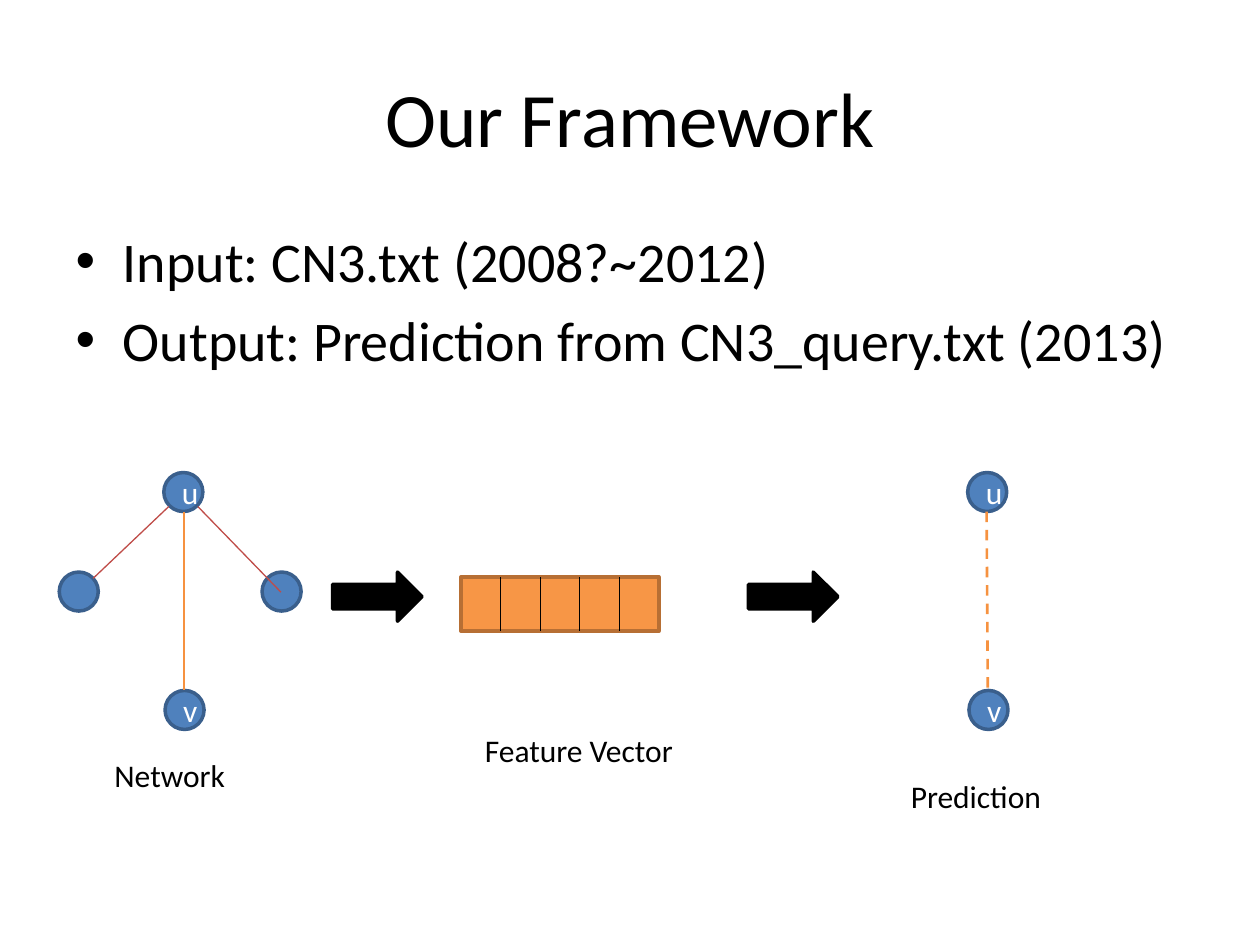
"""Builds the framework slide: network, feature vector and prediction."""
from lxml import etree
from pptx import Presentation
from pptx.dml.color import RGBColor
from pptx.enum.dml import MSO_LINE_DASH_STYLE as Dash
from pptx.enum.shapes import MSO_CONNECTOR as Connector, MSO_SHAPE as Shape
from pptx.enum.text import MSO_ANCHOR as Anchor, MSO_AUTO_SIZE as AutoSize, PP_ALIGN as Align
from pptx.oxml.ns import qn
from pptx.util import Inches, Pt

BLACK = RGBColor(0x00, 0x00, 0x00)
WHITE = RGBColor(0xFF, 0xFF, 0xFF)
BLUE = RGBColor(0x4F, 0x81, 0xBD)
DARK_BLUE = RGBColor(0x3A, 0x5F, 0x8C)
RED = RGBColor(0xBF, 0x4C, 0x48)
ORANGE = RGBColor(0xF7, 0x96, 0x46)
DARK_ORANGE = RGBColor(0xB7, 0x6F, 0x34)
EDGE_ORANGE = RGBColor(0xF6, 0x92, 0x40)
FONT = "Calibri"

TITLE = "Our Framework"
BULLETS = ["Input: CN3.txt (2008?~2012)", "Output: Prediction from CN3_query.txt (2013)"]
NODE_SIZE = 0.31
NETWORK_NODES = [("u", 1.3, 3.75), ("v", 1.31, 5.48), ("", 0.47, 4.54), ("", 2.08, 4.54)]
PREDICTION_NODES = [("u", 7.68, 3.75), ("v", 7.69, 5.48)]
NETWORK_EDGES = [
    ((1.57, 4.02), (2.23, 4.7), RED),
    ((1.46, 4.06), (1.46, 5.48), EDGE_ORANGE),
    ((0.74, 4.59), (1.34, 4.02), RED),
]
PREDICTED_EDGE = ((7.83, 4.06), (7.84, 5.48), EDGE_ORANGE)
ARROW_LEFTS = [2.64, 5.94]
VECTOR = (3.66, 4.58, 1.57, 0.43)
VECTOR_CELLS = 5
CAPTIONS = [
    ("Network", 0.81, 5.95, 1.09),
    ("Feature Vector", 3.75, 5.75, 1.71),
    ("Prediction", 7.13, 6.12, 1.25),
]


def place(box):
    return [Inches(length) for length in box]


def style_text(frame, size, color):
    for paragraph in frame.paragraphs:
        for run in paragraph.runs:
            run.font.name = FONT
            run.font.size = Pt(size)
            run.font.color.rgb = color


def fill_placeholder(placeholder, box, lines, size):
    placeholder.left, placeholder.top, placeholder.width, placeholder.height = place(box)
    placeholder.text_frame.text = "\n".join(lines)
    style_text(placeholder.text_frame, size, BLACK)


def add_figure(kind, box, fill, outline, label=""):
    figure = slide.shapes.add_shape(kind, *place(box))
    figure.shadow.inherit = False
    figure.fill.solid()
    figure.fill.fore_color.rgb = fill
    figure.line.color.rgb = outline
    figure.line.width = Pt(2)
    if label:
        frame = figure.text_frame
        frame.text = label
        frame.vertical_anchor = Anchor.MIDDLE
        frame.paragraphs[0].alignment = Align.CENTER
        style_text(frame, 18, WHITE)


def add_nodes(nodes):
    for label, left, top in nodes:
        add_figure(Shape.OVAL, (left, top, NODE_SIZE, NODE_SIZE), BLUE, DARK_BLUE, label)


def add_line(start, end, color, width=0.75, dash=None):
    line = slide.shapes.add_connector(Connector.STRAIGHT, *place(start + end))
    line.line.color.rgb = color
    line.line.width = Pt(width)
    if dash:
        line.line.dash_style = dash
    etree.SubElement(line._element.spPr, qn("a:effectLst"))


deck = Presentation()
deck.slide_width, deck.slide_height = Inches(10), Inches(7.5)
slide = deck.slides.add_slide(deck.slide_layouts[1])
fill_placeholder(slide.shapes.title, (0.5, 0.3, 9, 1.25), [TITLE], 44)
fill_placeholder(slide.placeholders[1], (0.5, 1.75, 9, 4.95), BULLETS, 32)

add_nodes(NETWORK_NODES)
for edge in NETWORK_EDGES:
    add_line(*edge)

for arrow_left in ARROW_LEFTS:
    add_figure(Shape.RIGHT_ARROW, (arrow_left, 4.54, 0.71, 0.39), BLACK, BLACK)

add_figure(Shape.RECTANGLE, VECTOR, ORANGE, DARK_ORANGE)
vector_left, vector_top, vector_width, vector_height = VECTOR
for cell in range(1, VECTOR_CELLS):
    divider = vector_left + cell * vector_width / VECTOR_CELLS
    add_line((divider, vector_top), (divider, vector_top + vector_height), BLACK)

add_nodes(PREDICTION_NODES)
add_line(*PREDICTED_EDGE, width=1.5, dash=Dash.DASH)

for caption, left, top, width in CAPTIONS:
    caption_frame = slide.shapes.add_textbox(*place((left, top, width, 0.4))).text_frame
    caption_frame.text = caption
    caption_frame.word_wrap = False
    caption_frame.auto_size = AutoSize.SHAPE_TO_FIT_TEXT
    style_text(caption_frame, 18, BLACK)

deck.save("out.pptx")
